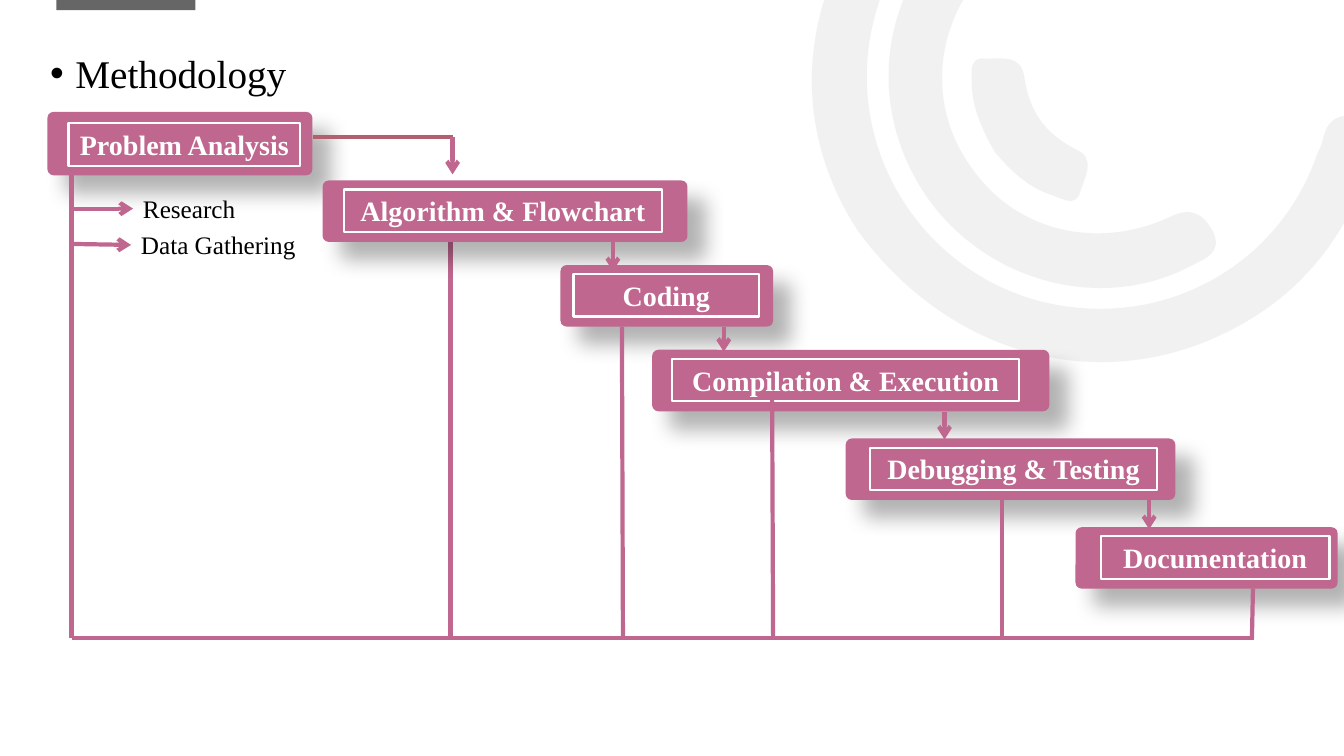
from dataclasses import dataclass
from math import cos, radians, sin

from lxml.etree import SubElement
from pptx import Presentation
from pptx.dml.color import RGBColor
from pptx.enum.shapes import MSO_CONNECTOR, MSO_SHAPE
from pptx.enum.text import MSO_ANCHOR, PP_ALIGN
from pptx.oxml.ns import qn
from pptx.util import Cm, Pt

RECT = MSO_SHAPE.RECTANGLE
ROUND = MSO_SHAPE.ROUNDED_RECTANGLE
STRAIGHT = MSO_CONNECTOR.STRAIGHT
MIDDLE = MSO_ANCHOR.MIDDLE
CENTER = PP_ALIGN.CENTER
FONT = "Times New Roman"
ROSE = "BF678E"
WHITE = "FFFFFF"
BLACK = "000000"
BASE = 6.33
TILT = 144.2

Point = tuple[float, float]


@dataclass
class Step:
    text: str
    left: float
    top: float
    width: float
    inset: float
    inner: float
    height: float = 0.61
    drop: float = 0.09
    label: float = 0.42


@dataclass
class Line:
    start: Point
    end: Point
    arrow: bool = False
    color: str = ROSE


@dataclass
class Note:
    text: str
    left: float
    top: float
    width: float
    height: float = 0.4
    size: int = 18


STEPS = [
    Step("Problem Analysis", 0.47, 1.11, 2.63, 0.21, 2.3, 0.63, 0.11, 0.43),
    Step("Algorithm & Flowchart", 3.2, 1.79, 3.62, 0.21, 3.16),
    Step("Coding", 5.56, 2.63, 2.11, 0.13, 1.84),
    Step("Compilation & Execution", 6.47, 3.47, 3.94, 0.2, 3.44),
    Step("Debugging & Testing", 8.39, 4.35, 3.27, 0.24, 2.85),
    Step("Documentation", 10.67, 5.23, 2.6, 0.25, 2.27),
]
LEADS = [
    Line((3.11, 1.36), (4.49, 1.36), color="B2606E"),
    Line((4.49, 1.36), (4.49, 1.73), True),
    Line((4.47, 2.39), (4.47, BASE)),
]
LINKS = [
    Line((6.08, 2.4), (6.08, 2.69), True),
    Line((7.18, 3.24), (7.18, 3.49), True),
    Line((9.37, 4.09), (9.37, 4.36), True),
    Line((11.4, 4.96), (11.4, 5.25), True),
    Line((6.17, 3.24), (6.18, BASE)),
    Line((7.66, 3.94), (7.67, BASE)),
    Line((9.94, 4.96), (9.94, BASE)),
    Line((12.43, 5.84), (12.42, BASE)),
    Line((0.71, BASE), (12.44, BASE)),
    Line((0.71, 1.72), (0.71, BASE)),
    Line((0.71, 2.07), (1.32, 2.07), True),
    Line((0.69, 2.42), (1.3, 2.43), True),
]
TITLE = Note("Methodology", 0.4, 0.49, 3.77, 0.54, 28)
NOTES = [
    Note("Research", 1.32, 1.87, 1.25),
    Note("Data Gathering", 1.3, 2.23, 1.78),
]
ARCS: list[list[Point]] = [
    [(8.51, 2.29),
     (7.99, 1.49), (7.87, 0.5), (8.38, -0.5), (8.9, -1.52), (9.76, -2.03), (10.9, -2.07),
     (11.05, -2.07), (11.21, -2.1), (11.31, -1.95), (11.44, -1.75), (11.27, -1.54), (10.98, -1.54),
     (9.67, -1.54), (8.65, -0.59), (8.6, 0.68), (8.56, 1.81), (9.36, 2.81), (10.46, 3.02),
     (11.6, 3.24), (12.7, 2.61), (13.07, 1.52), (13.09, 1.48), (13.11, 1.44), (13.12, 1.4),
     (13.16, 1.19), (13.27, 1.11), (13.49, 1.17), (13.73, 1.24), (13.67, 1.41), (13.61, 1.56),
     (13.34, 2.45), (12.78, 3.07), (11.91, 3.41), (10.7, 3.87), (9.36, 3.45), (8.51, 2.29)],
    [(9.22, 1.99),
     (8.62, 1.15), (8.69, 0.07), (9.4, -0.68), (9.51, -0.79), (9.62, -0.95), (9.8, -0.78),
     (9.95, -0.64), (9.97, -0.5), (9.79, -0.32), (9.25, 0.26), (9.2, 1.08), (9.65, 1.68),
     (10.08, 2.29), (10.88, 2.49), (11.61, 2.15), (11.82, 2.05), (11.93, 2.12), (12.03, 2.29),
     (12.13, 2.5), (11.97, 2.56), (11.83, 2.63), (10.96, 3.1), (9.83, 2.82), (9.22, 1.99)],
    [(9.87, 1.51),
     (9.75, 1.3), (9.64, 1.07), (9.64, 0.82), (9.64, 0.73), (9.61, 0.57), (9.76, 0.58),
     (9.92, 0.59), (10.13, 0.53), (10.16, 0.76), (10.21, 1.1), (10.36, 1.32), (10.67, 1.48),
     (10.88, 1.57), (10.76, 1.76), (10.72, 1.89), (10.68, 2.06), (10.55, 1.98), (10.45, 1.94),
     (10.21, 1.87), (10.03, 1.7), (9.87, 1.51)],
]


def cm(inch: float) -> Cm:
    return Cm(inch * 2.54)


def turn(x: float, y: float, angle: float) -> Point:
    a = radians(angle)
    return x * cos(a) - y * sin(a), x * sin(a) + y * cos(a)


def paint(target, color: str) -> None:
    target.solid()
    target.fore_color.rgb = RGBColor.from_string(color)


def style(para, size: int, color: str, bold: bool = False) -> None:
    para.font.name = FONT
    para.font.size = Pt(size)
    para.font.bold = bold
    para.font.color.rgb = RGBColor.from_string(color)


def plain(shape, color: str) -> None:
    paint(shape.fill, color)
    shape.line.fill.background()
    shape.shadow.inherit = False


def block(slide, kind, left: float, top: float, width: float, height: float, color: str):
    shape = slide.shapes.add_shape(kind, cm(left), cm(top), cm(width), cm(height))
    plain(shape, color)
    return shape


def arc(slide, knots: list[Point]) -> None:
    dots = [turn(cm(x), cm(y), -TILT) for x, y in knots]
    pen = slide.shapes.build_freeform(*dots[0], scale=1.0)
    pen.add_line_segments(dots[1:])
    shape = pen.convert_to_shape()
    legs = list(shape._element.iter(qn("a:lnTo")))
    for i in range(0, len(legs), 3):
        legs[i].tag = qn("a:cubicBezTo")
        for leg in legs[i + 1:i + 3]:
            legs[i].append(leg[0])
            leg.getparent().remove(leg)
    wide, high = shape.width / 2, shape.height / 2
    x, y = turn(shape.left + wide, shape.top + high, TILT)
    shape.left, shape.top = round(x - wide), round(y - high)
    shape.rotation = TILT
    plain(shape, "E7E6E6")
    tint = shape._element.spPr.find(".//" + qn("a:srgbClr"))
    SubElement(tint, qn("a:alpha"), val="53000")


def step(slide, item: Step) -> None:
    back = block(slide, ROUND, item.left, item.top, item.width, item.height, ROSE)
    back.adjustments[0] = 0.1
    glow = SubElement(back._element.spPr.find(qn("a:effectLst")), qn("a:outerShdw"),
                      blurRad=str(Pt(15)), dist=str(Pt(18)), dir="2700000",
                      algn="ctr", rotWithShape="0")
    tint = SubElement(glow, qn("a:srgbClr"), val=BLACK)
    SubElement(tint, qn("a:alpha"), val="30000")
    front = block(slide, RECT, item.left + item.inset, item.top + item.drop,
                  item.inner, item.label, ROSE)
    paint(front.line.fill, WHITE)
    front.line.width = Pt(1.5)
    front.text_frame.word_wrap = True
    front.text_frame.vertical_anchor = MIDDLE
    para = front.text_frame.paragraphs[0]
    para.text = item.text
    para.alignment = CENTER
    style(para, 20, WHITE, True)


def link(slide, item: Line) -> None:
    wire = slide.shapes.add_connector(STRAIGHT, *map(cm, item.start + item.end))
    paint(wire.line.fill, item.color)
    wire.line.width = Pt(3)
    props = wire._element.spPr
    if item.arrow:
        SubElement(props.find(qn("a:ln")), qn("a:tailEnd"), type="arrow")
    SubElement(props, qn("a:effectLst"))


def note(slide, item: Note):
    box = slide.shapes.add_textbox(cm(item.left), cm(item.top), cm(item.width), cm(item.height))
    box.text_frame.word_wrap = True
    para = box.text_frame.paragraphs[0]
    para.text = item.text
    style(para, item.size, BLACK)
    return para


def main() -> None:
    deck = Presentation()
    deck.slide_width, deck.slide_height = cm(13.333), cm(7.5)
    slide = deck.slides.add_slide(deck.slide_layouts[6])
    block(slide, RECT, 0.56, -0.02, 1.38, 0.12, "666666")
    for knots in ARCS:
        arc(slide, knots)
    para = note(slide, TITLE)
    para.line_spacing = 0.9
    para.space_before = Pt(10)
    props = para._p.get_or_add_pPr()
    props.set("marL", str(cm(0.25)))
    props.set("indent", str(-cm(0.25)))
    SubElement(props, qn("a:buFont"), typeface="Arial")
    SubElement(props, qn("a:buChar"), char="•")
    step(slide, STEPS[0])
    for group, draw in ((NOTES, note), (LEADS, link), (STEPS[1:], step), (LINKS, link)):
        for item in group:
            draw(slide, item)
    deck.save("out.pptx")


if __name__ == "__main__":
    main()
